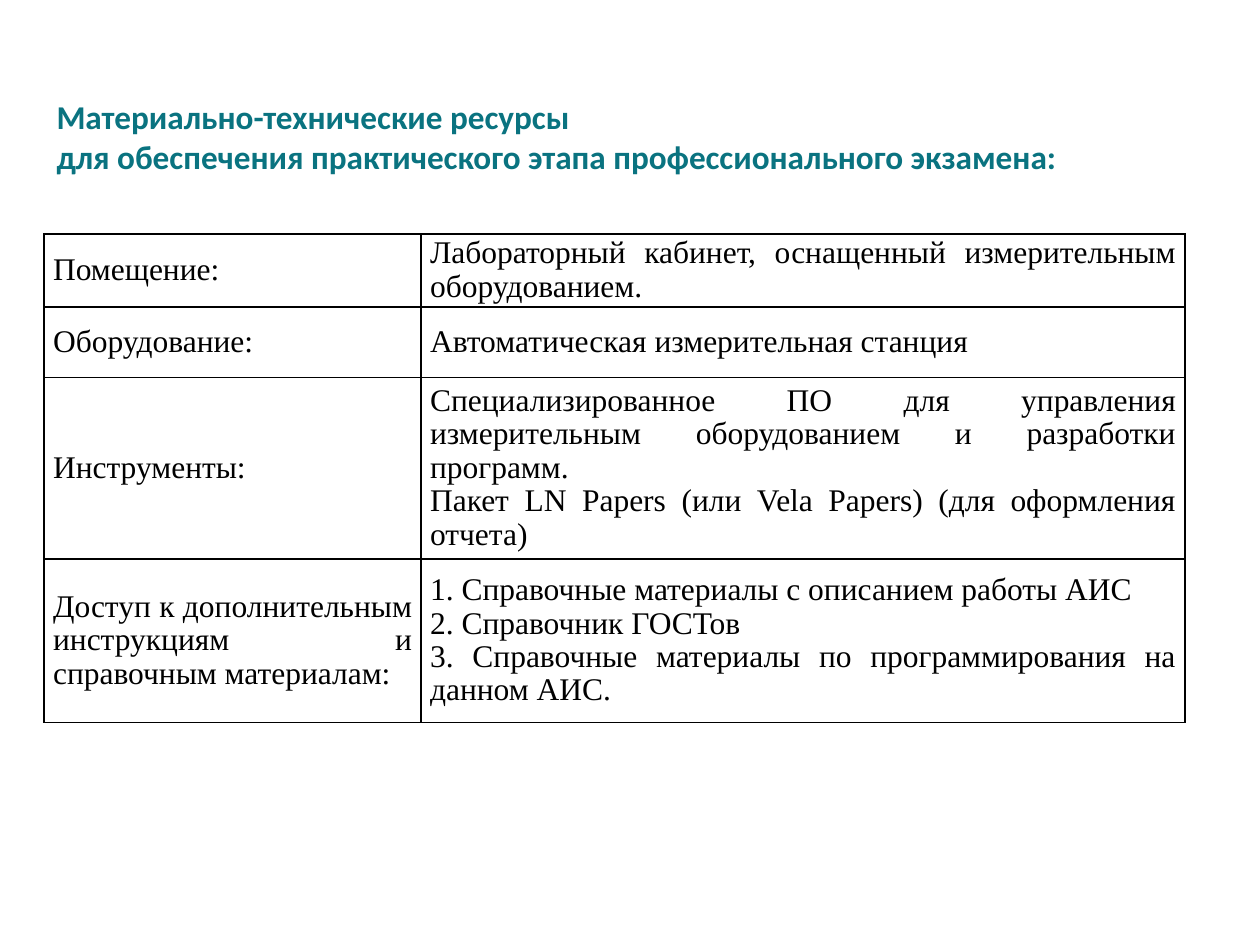
from lxml.etree import SubElement
from pptx import Presentation
from pptx.dml.color import RGBColor
from pptx.enum.text import MSO_ANCHOR as Anchor, PP_ALIGN as Align
from pptx.oxml.ns import qn
from pptx.util import Cm, Pt

COLORS = {"heading": "0A7380", "ink": "000000"}
HEADING = [
    "Материально-технические ресурсы",
    "для обеспечения практического этапа профессионального экзамена:",
]
RESOURCES = [
    ("Помещение:", ["Лабораторный кабинет, оснащенный измерительным оборудованием."]),
    ("Оборудование:", ["Автоматическая измерительная станция"]),
    ("Инструменты:", [
        "Специализированное ПО для управления измерительным оборудованием и разработки программ.",
        "Пакет LN Papers (или Vela Papers) (для оформления отчета)",
    ]),
    ("Доступ к дополнительным инструкциям и справочным материалам:", [
        "1. Справочные материалы с описанием работы АИС",
        "2. Справочник ГОСТов",
        "3. Справочные материалы по программирования на данном АИС.",
    ]),
]
LEFT_ALIGNED = ("1.", "2.")
COLUMN_WIDTHS = [7.6, 15.4]
ROW_HEIGHTS = [1.4, 1.42, 3.5, 3.3]
LEFT = 0.89


def write(frame, lines, font, size, color, bold=False):
    frame.text = "\n".join(lines)
    for paragraph in frame.paragraphs:
        for run in paragraph.runs:
            run.font.name = font
            run.font.size = Pt(size)
            run.font.bold = bold
            run.font.color.rgb = RGBColor.from_string(COLORS[color])


def outline(cell):
    properties = cell._tc.get_or_add_tcPr()
    for position, side in enumerate(("lnL", "lnR", "lnT", "lnB")):
        line = SubElement(properties, qn(f"a:{side}"), w=str(Pt(1)))
        fill = SubElement(line, qn("a:solidFill"))
        SubElement(fill, qn("a:srgbClr"), val=COLORS["ink"])
        properties.insert(position, line)


def fill_cell(cell, lines):
    cell.fill.background()
    outline(cell)
    cell.vertical_anchor = Anchor.MIDDLE
    cell.margin_left = cell.margin_right = Cm(0.18)
    cell.margin_top = cell.margin_bottom = 0
    write(cell.text_frame, lines, "Times New Roman", 18, "ink")
    for paragraph in cell.text_frame.paragraphs:
        left = paragraph.text.startswith(LEFT_ALIGNED)
        paragraph.alignment = Align.LEFT if left else Align.JUSTIFY
        paragraph.line_spacing = 0.96


deck = Presentation()
deck.slide_width, deck.slide_height = Cm(25.4), Cm(19.05)
slide = deck.slides.add_slide(deck.slide_layouts[6])

heading = slide.shapes.add_textbox(Cm(LEFT), Cm(1.17), Cm(23.24), Cm(3.15)).text_frame
heading.word_wrap = True
heading.vertical_anchor = Anchor.MIDDLE
write(heading, HEADING, "Calibri", 19, "heading", bold=True)

resources = slide.shapes.add_table(
    len(RESOURCES), len(COLUMN_WIDTHS), Cm(LEFT), Cm(4.72),
    Cm(sum(COLUMN_WIDTHS)), Cm(sum(ROW_HEIGHTS))).table
resources.first_row = resources.horz_banding = False
for column, width in zip(resources.columns, COLUMN_WIDTHS):
    column.width = Cm(width)
for row, height, (label, details) in zip(resources.rows, ROW_HEIGHTS, RESOURCES):
    row.height = Cm(height)
    for cell, lines in zip(row.cells, ([label], details)):
        fill_cell(cell, lines)

deck.save("out.pptx")
